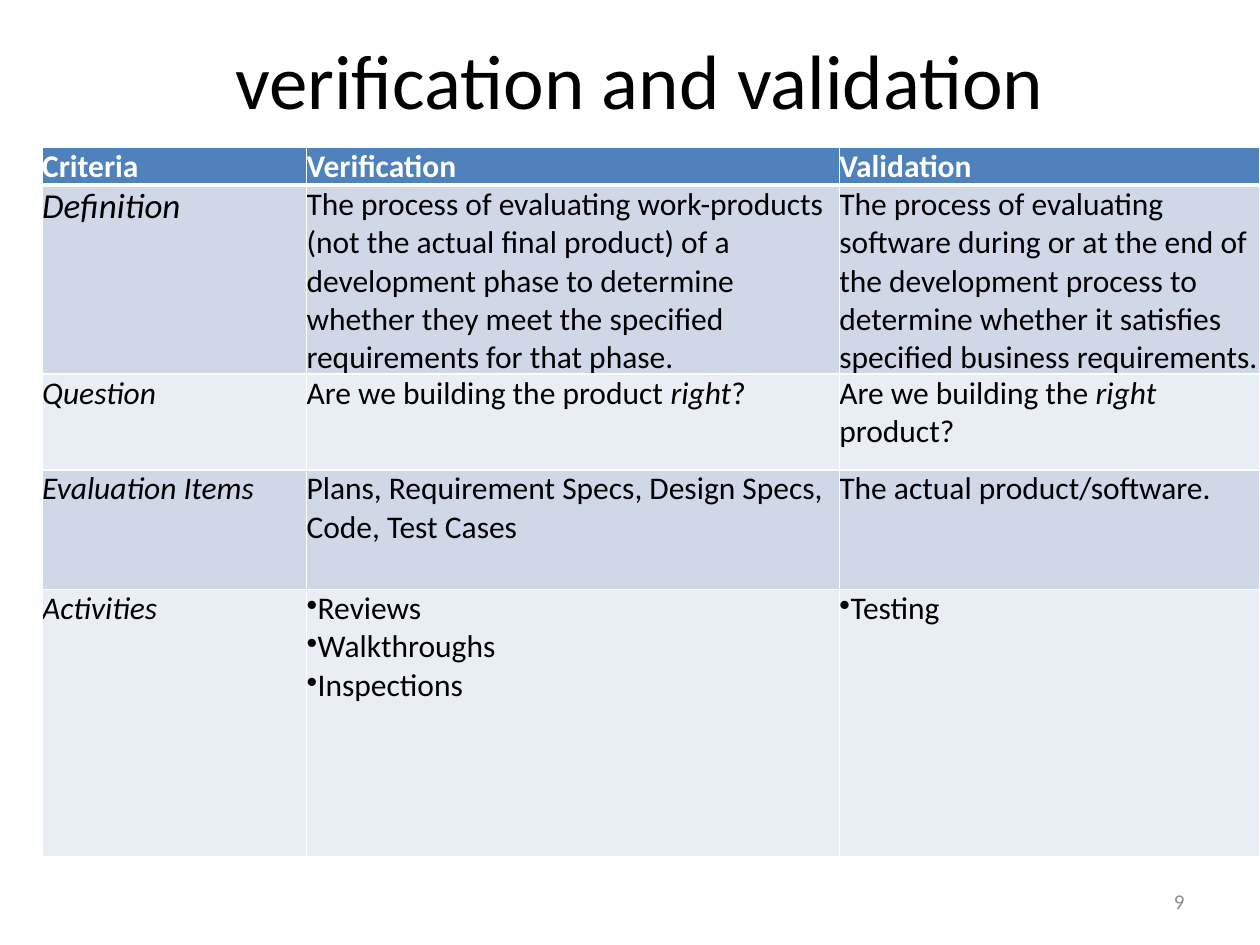
from lxml.etree import SubElement
from pptx import Presentation
from pptx.dml.color import RGBColor
from pptx.enum.text import MSO_ANCHOR, PP_ALIGN
from pptx.oxml.ns import qn
from pptx.util import Cm, Pt

FONT = "Calibri"
BLACK = RGBColor(0x00, 0x00, 0x00)
WHITE = RGBColor(0xFF, 0xFF, 0xFF)
GRAY = RGBColor(0x8C, 0x8C, 0x8C)
HEADER_BLUE = RGBColor(0x4F, 0x81, 0xBD)
BANDS = (RGBColor(0xE9, 0xED, 0xF4), RGBColor(0xD0, 0xD8, 0xE8))

COLUMN_WIDTHS = (5.33, 10.74, 8.48)
ROW_HEIGHTS = (0.61, 3, 1.93, 2.41, 5.38)
ROWS = (
    ("Criteria", "Verification", "Validation"),
    (
        "*Definition*",
        "The process of evaluating work-products (not the actual final product) of a "
        "development phase to determine whether they meet the specified requirements "
        "for that phase.",
        "The process of evaluating software during or at the end of the development "
        "process to determine whether it satisfies specified business requirements.",
    ),
    (
        "*Question*",
        "Are we building the product *right*?",
        "Are we building the *right* product?",
    ),
    (
        "*Evaluation Items*",
        "Plans, Requirement Specs, Design Specs, Code, Test Cases",
        "The actual product/software.",
    ),
    ("*Activities*", "•Reviews\n•Walkthroughs\n•Inspections", "•Testing"),
)


def format_font(font, size, color, bold=False, italic=False):
    """Apply the slide's typeface and the given look to a font."""
    font.name = FONT
    font.size = Pt(size)
    font.color.rgb = color
    font.bold = bold
    font.italic = italic


def add_label(slide, box, text, size, color, alignment):
    """Place one vertically centred line of text in a box."""
    shape = slide.shapes.add_textbox(*(Cm(length) for length in box))
    frame = shape.text_frame
    frame.word_wrap = True
    frame.vertical_anchor = MSO_ANCHOR.MIDDLE
    frame.text = text
    paragraph = frame.paragraphs[0]
    paragraph.alignment = alignment
    format_font(paragraph.runs[0].font, size, color)


def add_borders(cell, bottom_width):
    """Draw white borders round a cell, with its own bottom width."""
    properties = cell._tc.get_or_add_tcPr()
    for side, width in (("L", 1), ("R", 1), ("T", 1), ("B", bottom_width)):
        line = SubElement(properties, qn(f"a:ln{side}"), w=str(Pt(width)))
        fill = SubElement(line, qn("a:solidFill"))
        SubElement(fill, qn("a:srgbClr"), val=str(WHITE))


def fill_cell(cell, text, size, color, bold):
    """Write a cell's lines, with starred words italic and leading dots as bullets."""
    cell.margin_left = cell.margin_right = cell.margin_top = cell.margin_bottom = 0
    frame = cell.text_frame
    lines = text.split("\n")
    frame.text = "\n".join(line.removeprefix("•") for line in lines)
    for paragraph, line in zip(frame.paragraphs, lines):
        pieces = paragraph.text.split("*")
        paragraph.clear()
        for index, piece in enumerate(pieces):
            if piece:
                run = paragraph.add_run()
                run.text = piece
                format_font(run.font, size, color, bold, index % 2 == 1)
        if line.startswith("•"):
            SubElement(paragraph._p.get_or_add_pPr(), qn("a:buChar"), char="•")


def add_comparison_table(slide, left, top):
    """Build the banded comparison table from its top left corner."""
    frame = slide.shapes.add_table(
        len(ROW_HEIGHTS), len(COLUMN_WIDTHS), Cm(left), Cm(top),
        Cm(sum(COLUMN_WIDTHS)), Cm(sum(ROW_HEIGHTS)),
    )
    table = frame.table
    for column, width in zip(table.columns, COLUMN_WIDTHS):
        column.width = Cm(width)
    for row_index, (row, height, texts) in enumerate(zip(table.rows, ROW_HEIGHTS, ROWS)):
        row.height = Cm(height)
        header = row_index == 0
        for cell, text in zip(row.cells, texts):
            size = 20 if text == "*Definition*" else 18
            fill_cell(cell, text, size, WHITE if header else BLACK, header)
            add_borders(cell, 3 if header else 1)
            cell.fill.solid()
            cell.fill.fore_color.rgb = HEADER_BLUE if header else BANDS[row_index % 2]


def main():
    """Create the slide and save it."""
    presentation = Presentation()
    presentation.slide_width = Cm(25.4)
    presentation.slide_height = Cm(19.05)
    slide = presentation.slides.add_slide(presentation.slide_layouts[6])
    add_label(slide, (1.47, 0, 22.86, 3.18), "verification and validation",
              44, BLACK, PP_ALIGN.CENTER)
    add_label(slide, (18.2, 17.66, 5.93, 1.01), "9", 12, GRAY, PP_ALIGN.RIGHT)
    add_comparison_table(slide, 0.85, 2.97)
    presentation.save("out.pptx")


if __name__ == "__main__":
    main()
